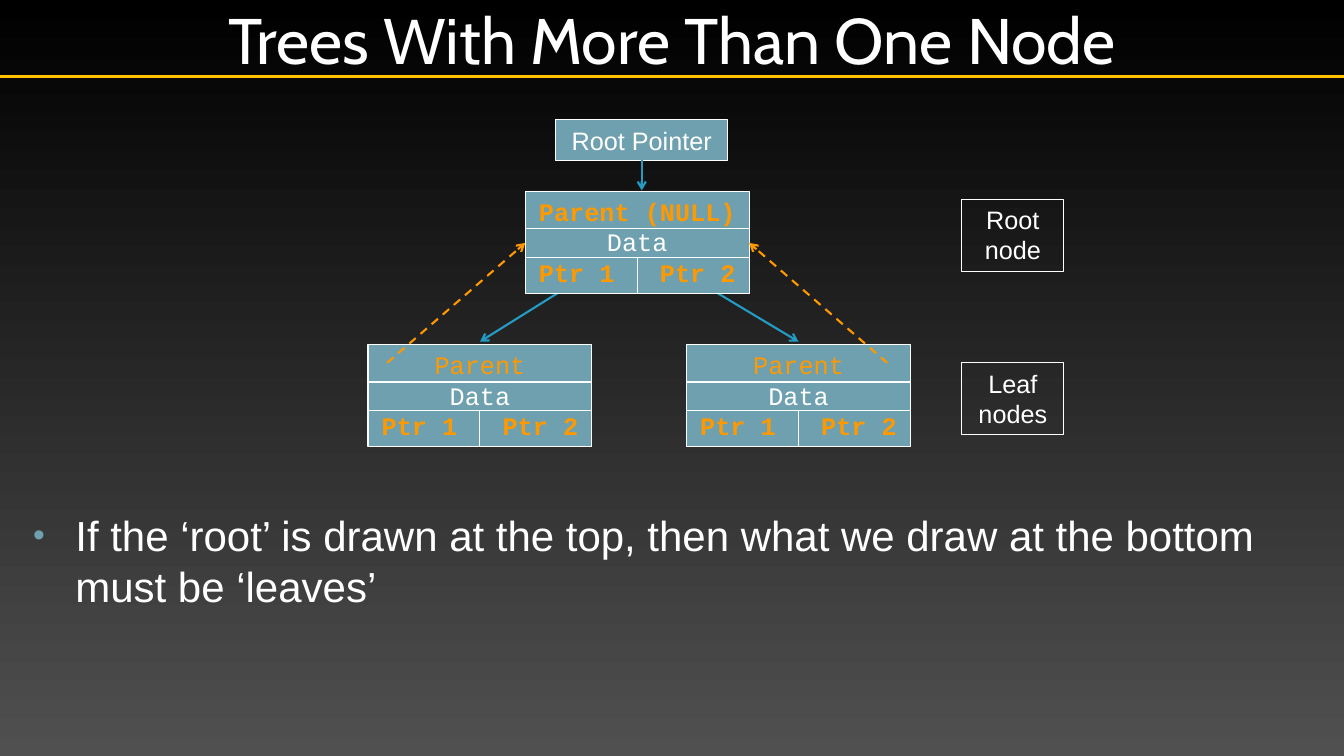
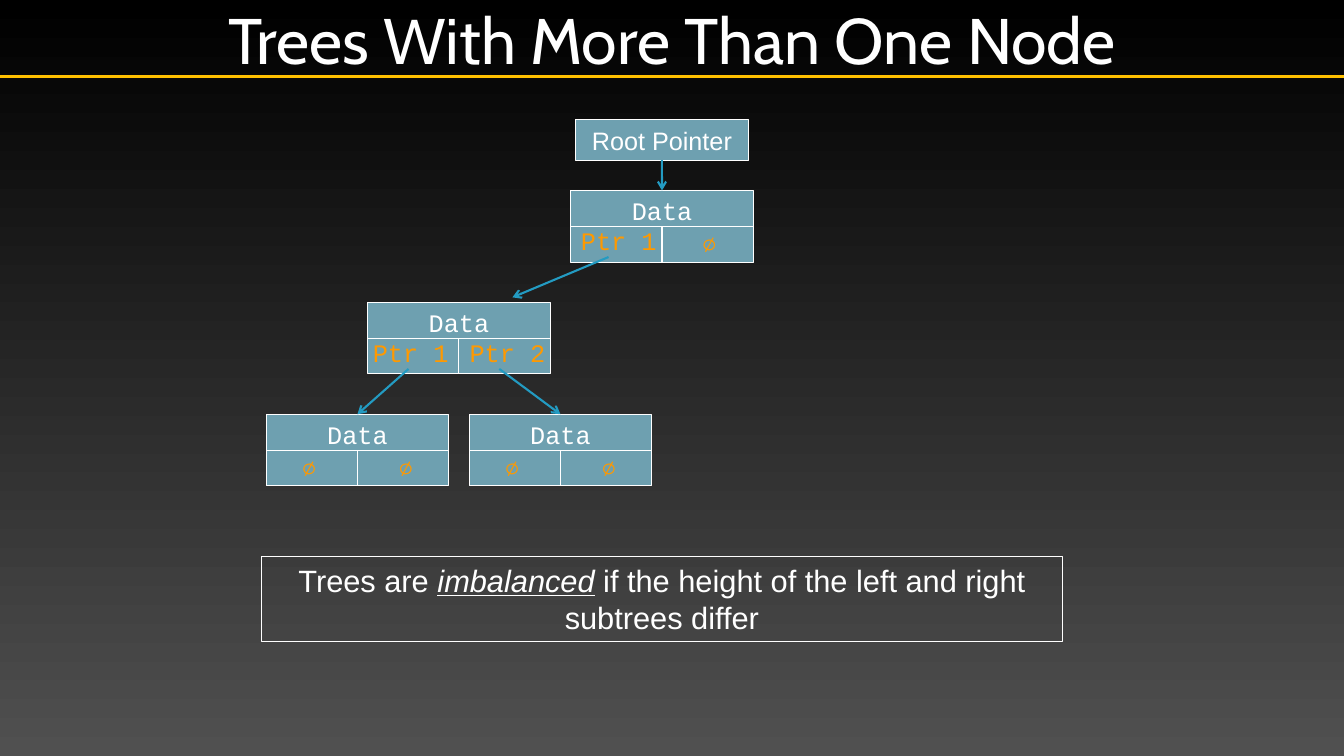
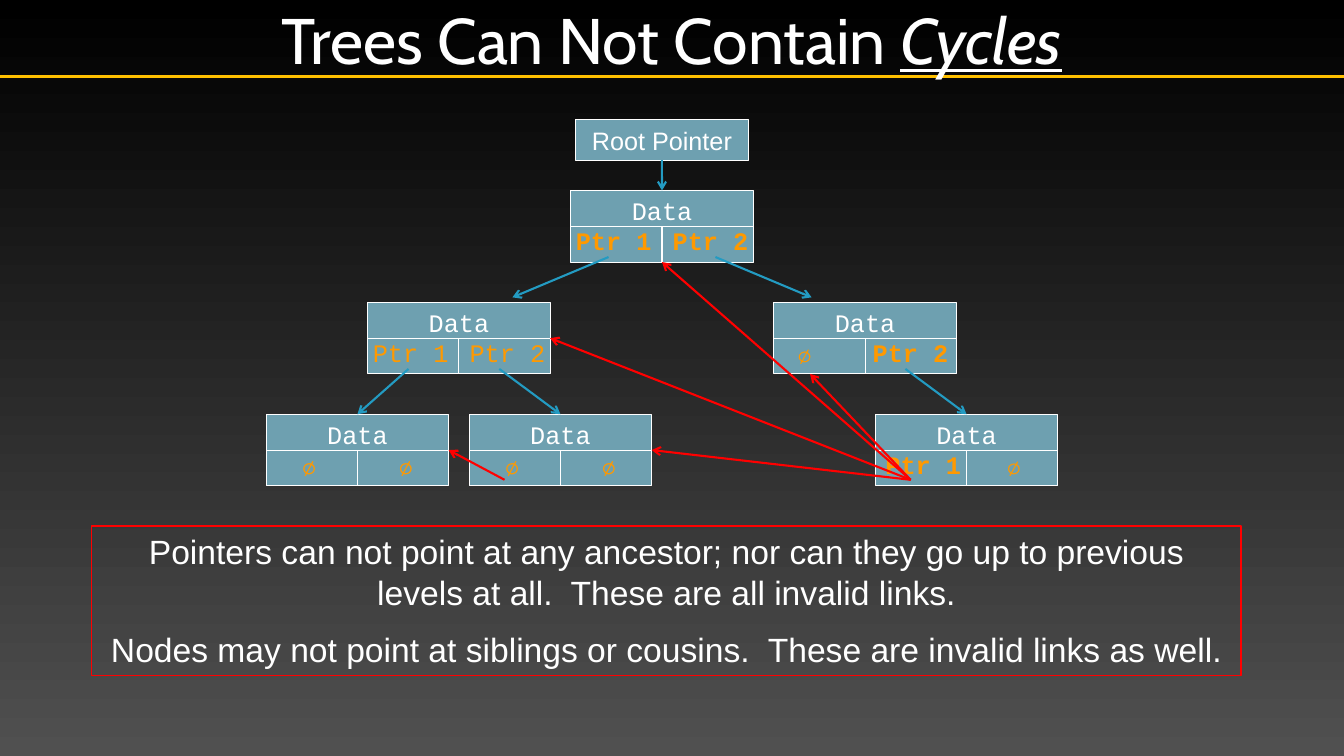
from dataclasses import dataclass

from lxml.etree import SubElement
from pptx import Presentation
from pptx.dml.color import RGBColor
from pptx.enum.dml import MSO_LINE
from pptx.enum.shapes import MSO_CONNECTOR, MSO_SHAPE
from pptx.enum.text import MSO_ANCHOR, PP_ALIGN
from pptx.oxml.ns import qn
from pptx.util import Inches, Pt


@dataclass(frozen=True)
class Theme:
    white: str = "FFFFFF"
    night: str = "000000"
    dusk: str = "505050"
    gold: str = "FFC000"
    teal: str = "6EA0B0"
    blue: str = "239BC2"
    orange: str = "FF9900"
    red: str = "FF0000"
    title_font: str = "Cabin"
    body_font: str = "Arial"
    code_font: str = "Courier New"
    title_size: int = 46
    bullet_size: int = 30
    warning_size: int = 24
    remark_size: int = 22
    node_size: int = 18
    thin: float = 0.75
    frame: float = 1
    arrow: float = 1.5
    rule: float = 2.5


THEME = Theme()
WIDTH, HEIGHT = 13.33, 7.5
BAND = 0.76
TOP, LEFT, BOTTOM, RIGHT = range(4)
EMPHASIS = {"italic": True, "underline": True}

MORE_NODES = [("Trees With More Than One Node", {})]
NO_CYCLES = [("Trees Can Not Contain ", {}), ("Cycles", EMPHASIS)]

BULLET = "If the ‘root’ is drawn at the top, then what we draw at the bottom must be ‘leaves’"
SIDE_LABELS = [("Root node", 1.98), ("Leaf nodes", 3.6)]
REMARK = [[
    ("Trees are ", {}),
    ("imbalanced", EMPHASIS),
    (" if the height of the left and right subtrees differ", {}),
]]
WARNING = [
    [("Pointers can not point at any ancestor; nor can they go up to previous "
      "levels at all.  These are all invalid links.", {})],
    [("Nodes may not point at siblings or cousins.  These are invalid links as well.", {})],
]

FAMILY_SIZE = (2.22, 1.01)
FAMILY_LINES = (0.37, 0.65)
FAMILY_SPREAD = (-0.6, 0.6)
FAMILY_ROOT = (5.21, 1.9)
FAMILY_LEAVES = [(3.65, 3.42), (6.81, 3.42)]

NODE_SIZE = (1.81, 0.71)
NODE_LINES = (0.355,)
GRID_LEFT, GRID_TOP, COLUMN, ROW = 2.64, 1.89, 1.007, 1.11
EVEN, POINTER_LEFT, POINTER_RIGHT = (-0.48, 0.48), (-0.43, 0.47), (-0.6, 0.45)

PLAIN_POINTERS = [("Ptr 1", False), ("Ptr 2", False)]
BOLD_POINTERS = [("Ptr 1", True), ("Ptr 2", True)]
BOLD_NULLS = [("∅", True), ("∅", True)]
PLAIN_NULLS = [("∅", False), ("∅", False)]

IMBALANCED_NODES = {
    "root": (3, 0, [("Ptr 1", False), ("∅", True)], POINTER_LEFT),
    "left": (1, 1, PLAIN_POINTERS, EVEN),
    "left first": (0, 2, BOLD_NULLS, EVEN),
    "left second": (2, 2, BOLD_NULLS, EVEN),
}
IMBALANCED_LINKS = [
    ("root", -1, "left"), ("left", -1, "left first"), ("left", 1, "left second"),
]
CYCLE_NODES = {
    "root": (3, 0, BOLD_POINTERS, EVEN),
    "left": (1, 1, PLAIN_POINTERS, EVEN),
    "right": (5, 1, [("∅", True), ("Ptr 2", True)], POINTER_RIGHT),
    "left first": (0, 2, PLAIN_NULLS, EVEN),
    "left second": (2, 2, PLAIN_NULLS, EVEN),
    "right second": (6, 2, [("Ptr 1", True), ("∅", True)], POINTER_LEFT),
}
CYCLE_LINKS = IMBALANCED_LINKS + [("root", 1, "right"), ("right", 1, "right second")]
INVALID_LINKS = [
    ("right second", "root", BOTTOM),
    ("right second", "left", RIGHT),
    ("right second", "left second", RIGHT),
    ("left second", "left first", RIGHT),
]


def color(value):
    return RGBColor.from_string(value)


def write(shape, paragraphs, size, font=THEME.body_font, align=PP_ALIGN.CENTER,
          anchor=MSO_ANCHOR.TOP, insets=(0.1, 0.05)):
    frame = shape.text_frame
    frame.word_wrap = True
    frame.vertical_anchor = anchor
    frame.margin_left = frame.margin_right = Inches(insets[0])
    frame.margin_top = frame.margin_bottom = Inches(insets[1])
    for index, spans in enumerate(paragraphs):
        para = frame.add_paragraph() if index else frame.paragraphs[0]
        para.alignment = align
        for text, style in spans:
            span = para.add_run()
            span.text = text
            span.font.name = font
            span.font.size = Pt(size)
            span.font.color.rgb = color(style.get("color", THEME.white))
            for name in ("bold", "italic", "underline"):
                if style.get(name):
                    setattr(span.font, name, True)
    return frame


def add_text_box(slide, place):
    return slide.shapes.add_textbox(*map(Inches, place))


def add_box(slide, place, fill=None, line=THEME.white, weight=THEME.thin):
    box = slide.shapes.add_shape(MSO_SHAPE.RECTANGLE, *map(Inches, place))
    box.shadow.inherit = False
    if fill:
        box.fill.solid()
        box.fill.fore_color.rgb = color(fill)
    else:
        box.fill.background()
    box.line.color.rgb = color(line)
    box.line.width = Pt(weight)
    return box


def add_line(slide, start, end, line=THEME.white, weight=THEME.thin, arrow=False, dashed=False):
    connector = slide.shapes.add_connector(
        MSO_CONNECTOR.STRAIGHT, *map(Inches, (*start, *end)))
    connector.line.color.rgb = color(line)
    connector.line.width = Pt(weight)
    if dashed:
        connector.line.dash_style = MSO_LINE.DASH
    if arrow:
        SubElement(connector.line._get_or_add_ln(), qn("a:tailEnd"), type="arrow")
    SubElement(connector._element.spPr, qn("a:effectLst"))
    return connector


def add_arrow(slide, start, end, line=THEME.blue, dashed=False):
    return add_line(slide, start, end, line, THEME.arrow, True, dashed)


def add_slide(deck, title):
    slide = deck.slides.add_slide(deck.slide_layouts[6])
    add_line(slide, (0, BAND), (WIDTH, BAND), THEME.gold, THEME.rule)
    write(add_text_box(slide, ((WIDTH - 10) / 2, 0, 10, BAND)), [title], THEME.title_size,
          THEME.title_font, anchor=MSO_ANCHOR.MIDDLE, insets=(0.05, 0.05))
    return slide


def add_node(slide, corner, size, lines, headings, pointers, spread):
    left, top = corner
    width, height = size
    middle = left + width / 2
    box = add_box(slide, (*corner, *size), THEME.teal)
    pointer_row = [("\t" + text, {"color": THEME.orange, "bold": bold})
                   for text, bold in pointers]
    frame = write(box, [[heading] for heading in headings] + [pointer_row],
                  THEME.node_size, THEME.code_font, insets=(0, 0.05))
    row = frame.paragraphs[-1]
    row.alignment = PP_ALIGN.LEFT
    stops = SubElement(row._p.get_or_add_pPr(), qn("a:tabLst"))
    for offset in spread:
        SubElement(stops, qn("a:tab"), pos=str(Inches(width / 2 + offset)), algn="ctr")
    for depth in lines:
        add_line(slide, (left, top + depth), (left + width, top + depth))
    add_line(slide, (middle, top + lines[-1]), (middle, top + height))
    return box


def add_root_pointer(slide, left):
    box = add_box(slide, (left, 1.19, 1.71, 0.4), THEME.teal)
    write(box, [[("Root Pointer", {})]], THEME.node_size)
    middle = left + 1.71 / 2
    arrow = add_arrow(slide, (middle, 1.59), (middle, GRID_TOP))
    arrow.begin_connect(box, BOTTOM)
    return arrow


def corner_of(node):
    column, row = node[:2]
    return GRID_LEFT + column * COLUMN, GRID_TOP + row * ROW


def add_tree(slide, nodes, links):
    width = NODE_SIZE[0]
    boxes = {
        name: add_node(slide, corner_of(node), NODE_SIZE, NODE_LINES, [("Data", {})], *node[2:])
        for name, node in nodes.items()
    }
    add_root_pointer(slide, 5.71).end_connect(boxes["root"], TOP)
    for parent, side, child in links:
        left, top = corner_of(nodes[parent])
        child_left, child_top = corner_of(nodes[child])
        from_root = parent == "root"
        reach = 0.53 if from_root else 0.4 if side > 0 else 0.5
        lean, gap = (0.53, 0.05) if from_root else (0, 0)
        arrow = add_arrow(slide, (left + width / 2 + side * reach, top + 0.66),
                          (child_left + width / 2 - side * lean, child_top - gap))
        if not from_root:
            arrow.end_connect(boxes[child], TOP)
    return boxes


def build_family(deck):
    slide = add_slide(deck, MORE_NODES)
    width = FAMILY_SIZE[0]
    root_left, root_top = FAMILY_ROOT
    root_middle = root_left + width / 2

    def add_member(corner, parent, bold):
        headings = [(parent, {"color": THEME.orange, "bold": bold}), ("Data", {})]
        return add_node(slide, corner, FAMILY_SIZE, FAMILY_LINES, headings,
                        BOLD_POINTERS, FAMILY_SPREAD)

    for side, (left, top) in zip((-1, 1), FAMILY_LEAVES):
        add_member((left, top), "Parent", False)
        add_arrow(slide, (root_middle + side * 0.6, 2.79), (left + width / 2, top - 0.03))
    add_member(FAMILY_ROOT, "Parent (NULL)", True)
    add_root_pointer(slide, 5.51)
    for side in (-1, 1):
        add_arrow(slide, (root_middle + side * 2.48, 3.6),
                  (root_middle + side * width / 2, root_top + 0.51), THEME.orange, True)
    for label, top in SIDE_LABELS:
        write(add_box(slide, (9.54, top, 1.01, 0.71)), [[(label, {})]], THEME.node_size)

    frame = write(add_text_box(slide, (0.19, 5.01, 13, 1.31)), [[(BULLET, {})]],
                  THEME.bullet_size, align=PP_ALIGN.LEFT)
    para = frame.paragraphs[0]
    para.space_before = Pt(6)
    properties = para._p.get_or_add_pPr()
    properties.set("marL", str(Inches(0.46)))
    properties.set("indent", str(Inches(-0.42)))
    SubElement(SubElement(properties, qn("a:buClr")), qn("a:srgbClr"), val=THEME.teal)
    SubElement(properties, qn("a:buSzPct"), val="80000")
    SubElement(properties, qn("a:buFont"), typeface=THEME.body_font)
    SubElement(properties, qn("a:buChar"), char="•")


def build_imbalanced(deck):
    slide = add_slide(deck, MORE_NODES)
    add_tree(slide, IMBALANCED_NODES, IMBALANCED_LINKS)
    write(add_box(slide, (2.59, 5.52, 7.95, 0.84)), REMARK, THEME.remark_size, insets=(0, 0.05))


def build_cycles(deck):
    slide = add_slide(deck, NO_CYCLES)
    boxes = add_tree(slide, CYCLE_NODES, CYCLE_LINKS)

    def pointer_of(name):
        left, top = corner_of(CYCLE_NODES[name])
        return left + 0.35, top + 0.65

    for source, target, side in INVALID_LINKS:
        start = pointer_of(source)
        add_arrow(slide, start, start, THEME.red).end_connect(boxes[target], side)
    right_left, right_top = corner_of(CYCLE_NODES["right"])
    add_arrow(slide, pointer_of("right second"),
              (right_left + 0.36, right_top + NODE_SIZE[1]), THEME.red)

    box = add_box(slide, (0.91, 5.22, 11.4, 1.48), line=THEME.red, weight=THEME.frame)
    frame = write(box, WARNING, THEME.warning_size)
    frame.paragraphs[1].space_before = Pt(12)


def main():
    deck = Presentation()
    deck.slide_width, deck.slide_height = Inches(WIDTH), Inches(HEIGHT)
    backdrop = deck.slide_master.background.fill
    backdrop.gradient()
    backdrop.gradient_angle = 270
    for stop, shade in zip(backdrop.gradient_stops, (THEME.night, THEME.dusk)):
        stop.color.rgb = color(shade)
    for build in (build_family, build_imbalanced, build_cycles):
        build(deck)
    deck.save("out.pptx")


if __name__ == "__main__":
    main()
